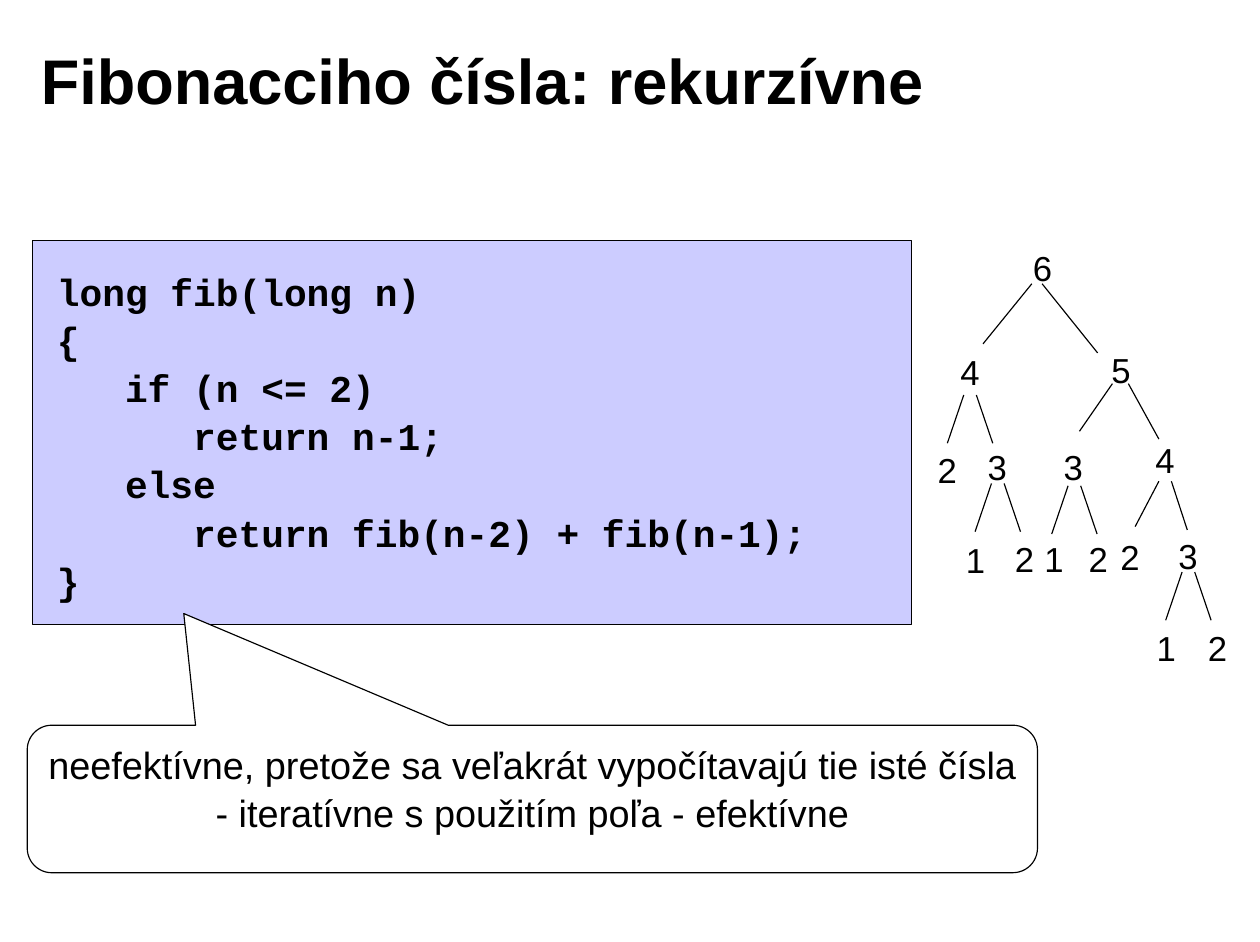
from lxml import etree
from pptx import Presentation
from pptx.dml.color import RGBColor
from pptx.enum.shapes import MSO_CONNECTOR, MSO_SHAPE
from pptx.enum.text import MSO_ANCHOR, PP_ALIGN
from pptx.oxml.ns import qn
from pptx.util import Pt

BLACK = RGBColor(0x00, 0x00, 0x00)
WHITE = RGBColor(0xFF, 0xFF, 0xFF)
LAVENDER = RGBColor(0xCC, 0xCC, 0xFF)

TITLE_FONT = {"name": "Arial", "size": Pt(40), "bold": True}
CODE_FONT = {"name": "Courier New", "size": Pt(24), "bold": True}
CALLOUT_FONT = {"name": "Arial", "size": Pt(24), "bold": False}
NODE_FONT = {"name": "Arial", "size": Pt(22), "bold": False}

CODE = """long fib(long n)
{
   if (n <= 2)
      return n-1;
   else
      return fib(n-2) + fib(n-1);
}"""
REMARK = ("neefektívne, pretože sa veľakrát vypočítavajú tie isté čísla "
          "- iteratívne s použitím poľa - efektívne")

NODE_W, NODE_H = 26.6, 33.8
# label, centre x, top
NODES = [
    ("6", 661.3, 151.2),
    ("4", 615.2, 217.4), ("5", 711, 216),
    ("2", 600.8, 279.4), ("3", 632.5, 278), ("3", 680.8, 278), ("4", 739, 273.6),
    ("1", 618.8, 337), ("2", 649.8, 336.2), ("1", 668.5, 336.2),
    ("2", 696.6, 336.2), ("2", 716.8, 334.8), ("3", 753.5, 334),
    ("1", 739.8, 392.4), ("2", 772.2, 392.4),
]
# centre x and top of each pair of short branches
FORKS = [(615.3, 250.6), (632.9, 306.7), (681.5, 308.2), (753.8, 362.9)]
LONG_BRANCHES = [
    (654.5, 180, 623.5, 218.2), (661, 180, 696.2, 223.9),
    (705.6, 243.4, 684.7, 273.6), (715.7, 243.4, 735.1, 278.6),
    (735.1, 305.3, 720, 334.1), (743, 305.3, 753.1, 336.2),
]


def write(shape, text, font, align=PP_ALIGN.LEFT, anchor=MSO_ANCHOR.TOP,
          wrap=True, margins=(8, 4.3)):
    tf = shape.text_frame
    tf.word_wrap = wrap
    tf.vertical_anchor = anchor
    tf.margin_left = tf.margin_right = Pt(margins[0])
    tf.margin_top = tf.margin_bottom = Pt(margins[1])
    tf.text = text
    for p in tf.paragraphs:
        p.alignment = align
        p.line_spacing = 1.06
        p.space_before = Pt(0)
        for key, value in font.items():
            setattr(p.font, key, value)
        p.font.color.rgb = BLACK


def add_panel(s, kind, box, fill):
    sp = s.shapes.add_shape(kind, *map(Pt, box))
    sp.shadow.inherit = False
    sp.fill.solid()
    sp.fill.fore_color.rgb = fill
    sp.line.color.rgb = BLACK
    sp.line.width = Pt(0.75)
    return sp


def add_node(s, label, x, top):
    sp = s.shapes.add_textbox(Pt(x - NODE_W / 2), Pt(top), Pt(NODE_W), Pt(NODE_H))
    write(sp, label, NODE_FONT, PP_ALIGN.CENTER, wrap=False, margins=(7.2, 3.6))


def add_branch(s, x1, y1, x2, y2):
    line = s.shapes.add_connector(MSO_CONNECTOR.STRAIGHT, *map(Pt, (x1, y1, x2, y2)))
    line.line.color.rgb = BLACK
    line.line.width = Pt(0.75)
    etree.SubElement(line._element.spPr, qn("a:effectLst"))


def add_fork(s, x, top):
    for side in (-1, 1):
        add_branch(s, x + side * 4, top, x + side * 14.4, top + 30.6)


def add_title(s):
    title = s.shapes.title
    title.left, title.top, title.width, title.height = map(Pt, (18, 12.2, 641.5, 73.4))
    write(title, "Fibonacciho čísla: rekurzívne", TITLE_FONT, anchor=MSO_ANCHOR.MIDDLE)


def add_code(s):
    add_panel(s, MSO_SHAPE.RECTANGLE, (20.9, 152.6, 557.3, 243.4), LAVENDER)
    sp = s.shapes.add_textbox(*map(Pt, (28.1, 164.5, 543.6, 209.5)))
    write(sp, CODE, CODE_FONT)


def add_callout(s):
    sp = add_panel(s, MSO_SHAPE.ROUNDED_RECTANGULAR_CALLOUT,
                   (17.3, 460.1, 640.8, 93.6), WHITE)
    for i, value in enumerate((-0.345, -1.257, 0.167)):
        sp.adjustments[i] = value
    write(sp, REMARK, CALLOUT_FONT, PP_ALIGN.CENTER)


def add_call_tree(s):
    for node in NODES:
        add_node(s, *node)
    for branch in LONG_BRANCHES:
        add_branch(s, *branch)
    for fork in FORKS:
        add_fork(s, *fork)


def main():
    prs = Presentation()
    prs.slide_width, prs.slide_height = Pt(799.2), Pt(597.6)
    s = prs.slides.add_slide(prs.slide_layouts[5])
    add_title(s)
    add_code(s)
    add_callout(s)
    add_call_tree(s)
    prs.save("out.pptx")


if __name__ == "__main__":
    main()
